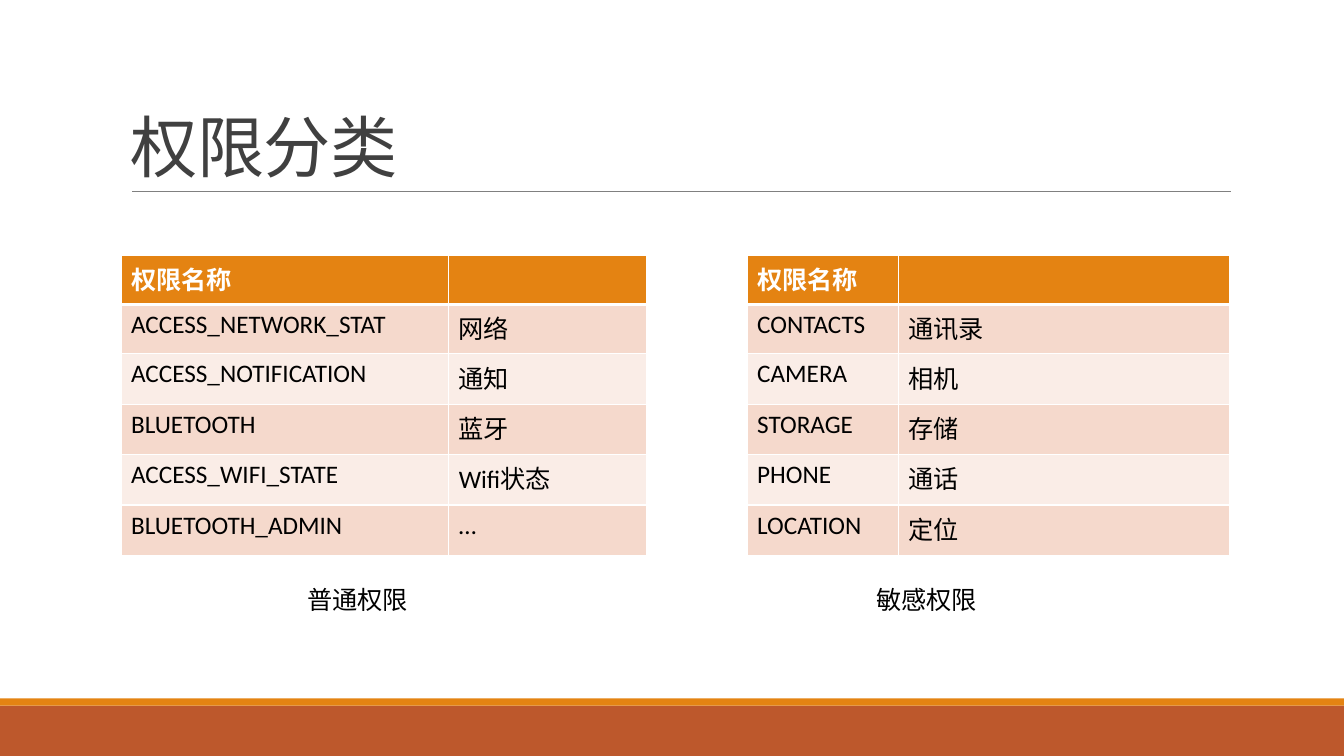
import dataclasses

import lxml.etree
import pptx
import pptx.dml.color
import pptx.enum.shapes
import pptx.enum.text
import pptx.oxml.ns
import pptx.util

Inches = pptx.util.Inches
Pt = pptx.util.Pt
qn = pptx.oxml.ns.qn


@dataclasses.dataclass(frozen=True)
class Theme:
    font: str = "Calibri"
    title_size: int = 48
    body_size: int = 18
    title: str = "404040"
    text: str = "000000"
    white: str = "FFFFFF"
    rule: str = "808080"
    accent: str = "E48312"
    footer: str = "BD582C"
    bands: tuple = ("F5D9CC", "FAEDE7")


THEME = Theme()
ROW_HEIGHTS = (0.49, 0.49, 0.5, 0.5, 0.5, 0.5)
TABLE_TOP = 2.53
CAPTION_TOP = 5.75

NORMAL_PERMISSIONS = (
    ("权限名称", ""),
    ("ACCESS_NETWORK_STAT", "网络"),
    ("ACCESS_NOTIFICATION", "通知"),
    ("BLUETOOTH", "蓝牙"),
    ("ACCESS_WIFI_STATE", "Wifi状态"),
    ("BLUETOOTH_ADMIN", "…"),
)
SENSITIVE_PERMISSIONS = (
    ("权限名称", ""),
    ("CONTACTS", "通讯录"),
    ("CAMERA", "相机"),
    ("STORAGE", "存储"),
    ("PHONE", "通话"),
    ("LOCATION", "定位"),
)


def rgb(value):
    return pptx.dml.color.RGBColor.from_string(value)


def write_text(text_frame, text, size=THEME.body_size, color=THEME.text,
               bold=False, line_spacing=None, character_spacing=None):
    paragraph = text_frame.paragraphs[0]
    paragraph.line_spacing = line_spacing
    run = paragraph.add_run()
    run.text = text
    run.font.name = THEME.font
    run.font.size = Pt(size)
    run.font.bold = bold
    run.font.color.rgb = rgb(color)
    if character_spacing is not None:
        run.font._element.set("spc", str(round(character_spacing * 100)))


def add_text(slide, text, left, top, width, height, wrap=True,
             anchor=pptx.enum.text.MSO_ANCHOR.TOP, **text_format):
    shape = slide.shapes.add_textbox(
        Inches(left), Inches(top), Inches(width), Inches(height))
    shape.text_frame.word_wrap = wrap
    shape.text_frame.vertical_anchor = anchor
    write_text(shape.text_frame, text, **text_format)


def add_band(slide, top, height, color):
    shape = slide.shapes.add_shape(
        pptx.enum.shapes.MSO_SHAPE.RECTANGLE,
        Inches(0), Inches(top), Inches(13.33), Inches(height))
    shape.shadow.inherit = False
    shape.fill.solid()
    shape.fill.fore_color.rgb = rgb(color)
    shape.line.fill.background()


def add_rule(slide, left, right, top):
    connector = slide.shapes.add_connector(
        pptx.enum.shapes.MSO_CONNECTOR.STRAIGHT,
        Inches(left), Inches(top), Inches(right), Inches(top))
    connector.line.color.rgb = rgb(THEME.rule)
    connector.line.width = Pt(0.5)
    lxml.etree.SubElement(connector._element.spPr, qn("a:effectLst"))


def set_borders(cell, top, bottom):
    properties = cell._tc.get_or_add_tcPr()
    widths = {"a:lnL": 1, "a:lnR": 1, "a:lnT": top, "a:lnB": bottom}
    for position, (tag, width) in enumerate(widths.items()):
        border = lxml.etree.Element(qn(tag), w=str(Pt(width)))
        fill = lxml.etree.SubElement(border, qn("a:solidFill"))
        lxml.etree.SubElement(fill, qn("a:srgbClr"), val=THEME.white)
        properties.insert(position, border)


def add_permission_table(slide, rows, left, column_widths):
    table = slide.shapes.add_table(
        len(rows), len(column_widths), Inches(left), Inches(TABLE_TOP),
        Inches(sum(column_widths)), Inches(sum(ROW_HEIGHTS))).table
    for column, width in zip(table.columns, column_widths):
        column.width = Inches(width)
    for row_index, row in enumerate(rows):
        table.rows[row_index].height = Inches(ROW_HEIGHTS[row_index])
        header = row_index == 0
        for column_index, text in enumerate(row):
            cell = table.cell(row_index, column_index)
            cell.fill.solid()
            cell.fill.fore_color.rgb = rgb(
                THEME.accent if header else THEME.bands[(row_index - 1) % 2])
            set_borders(cell, top=3 if row_index == 1 else 1,
                        bottom=3 if header else 1)
            if text:
                write_text(cell.text_frame, text, bold=header,
                           color=THEME.white if header else THEME.text)


def main():
    presentation = pptx.Presentation()
    presentation.slide_width = Inches(13.33)
    presentation.slide_height = Inches(7.5)
    slide = presentation.slides.add_slide(presentation.slide_layouts[6])

    add_band(slide, 7, 0.5, THEME.footer)
    add_band(slide, 6.93, 0.07, THEME.accent)
    add_rule(slide, 1.31, 12.21, 1.9)
    add_text(slide, "权限分类", 1.2, 0.31, 11, 1.59,
             anchor=pptx.enum.text.MSO_ANCHOR.BOTTOM, size=THEME.title_size,
             color=THEME.title, line_spacing=0.85, character_spacing=-0.5)

    add_permission_table(slide, NORMAL_PERMISSIONS, 1.2, (3.25, 1.96))
    add_text(slide, "普通权限", 2.95, CAPTION_TOP, 1.21, 0.4, wrap=False)
    add_permission_table(slide, SENSITIVE_PERMISSIONS, 7.41, (1.5, 3.29))
    add_text(slide, "敏感权限", 8.59, CAPTION_TOP, 1.21, 0.4, wrap=False)

    presentation.save("out.pptx")


if __name__ == "__main__":
    main()
